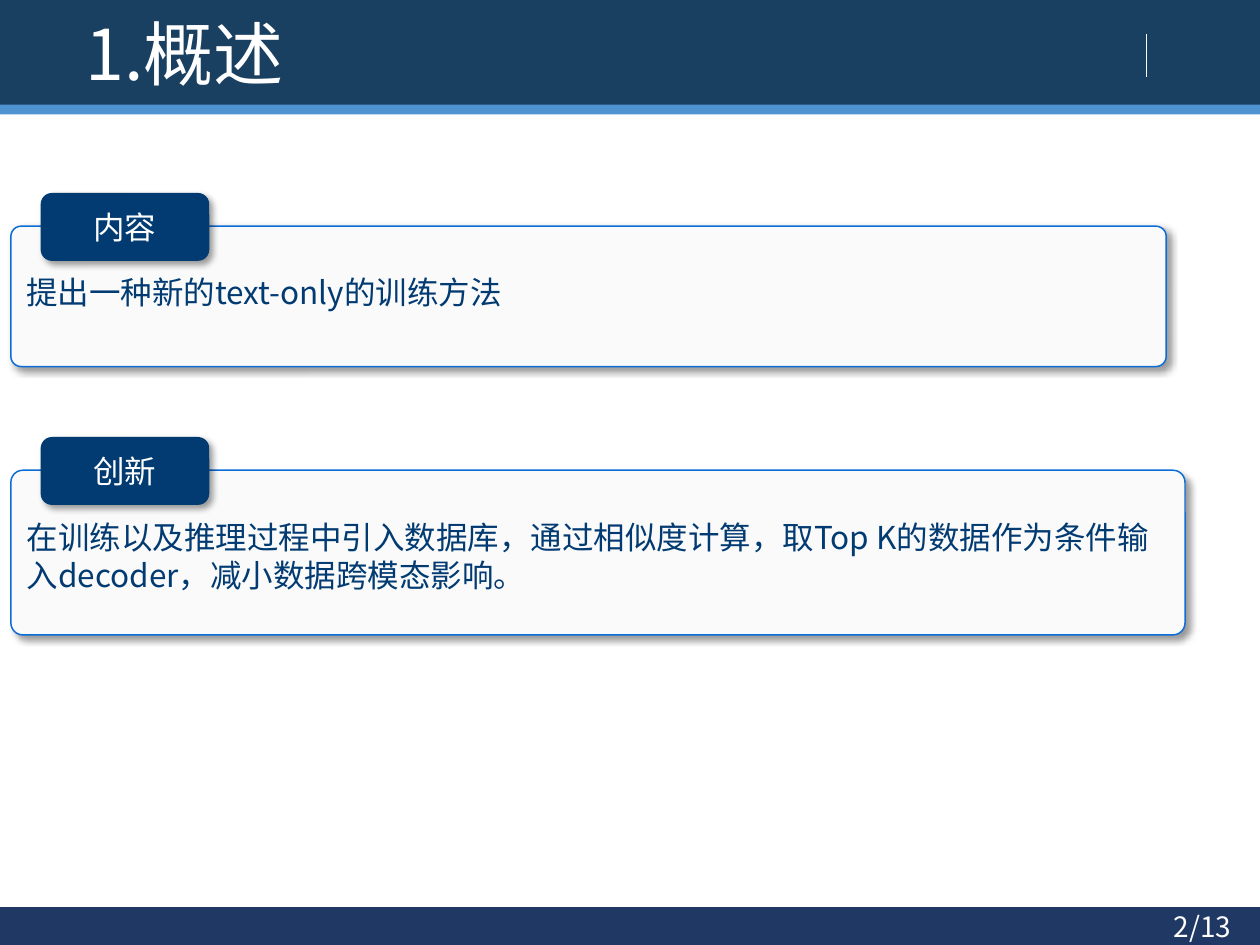
from lxml import etree
from pptx import Presentation
from pptx import util as u
from pptx.dml.color import RGBColor
from pptx.enum import shapes, text
from pptx.oxml import parse_xml
from pptx.oxml.ns import nsdecls, qn

FONT = "Noto Sans CJK SC"
WHITE, NAVY = "FFFFFF", "023B72"
WIDTH, HEIGHT = 25.4, 19.05
SHADOW = (
    f'<a:effectLst {nsdecls("a")}><a:outerShdw blurRad="50800" dist="38100" '
    'dir="2700000" algn="tl" rotWithShape="0"><a:srgbClr val="000000">'
    '<a:alpha val="40000"/></a:srgbClr></a:outerShdw></a:effectLst>'
)


def color(value):
    """Turn a hex string into a colour."""
    return RGBColor.from_string(value)


def write(shape, words, size, tone, align=text.PP_ALIGN.LEFT, **frame_format):
    """Write one paragraph into a shape."""
    frame = shape.text_frame
    values = {"word_wrap": True, "vertical_anchor": text.MSO_ANCHOR.MIDDLE}
    for name, value in {**values, **frame_format}.items():
        setattr(frame, name, value)
    para = frame.paragraphs[0]
    para.alignment = align
    span = para.add_run()
    span.text = words
    for name, value in {"name": FONT, "size": u.Pt(size)}.items():
        setattr(span.font, name, value)
    span.font.color.rgb = color(tone)
    east_asian = etree.SubElement(span.font._element, qn("a:ea"))
    east_asian.set("typeface", FONT)


def add_box(page, kind, box, fill, line=None):
    """Add a filled shape, outlined when a line colour is given."""
    shape = page.shapes.add_shape(kind, *map(u.Cm, box))
    shape.shadow.inherit = False
    shape.fill.solid()
    shape.fill.fore_color.rgb = color(fill)
    if line:
        shape.line.color.rgb = color(line)
        shape.line.width = u.Pt(0.85)
    else:
        shape.line.fill.background()
    return shape


def add_raised(page, box, fill, line=None):
    """Add a rounded box with a soft shadow."""
    shape = add_box(page, shapes.MSO_SHAPE.ROUNDED_RECTANGLE, box, fill, line)
    properties = shape._element.spPr
    properties.replace(properties.find(qn("a:effectLst")), parse_xml(SHADOW))
    return shape


def add_header(page, left, top, width, height, title):
    """Draw the title band, its stripe and its divider."""
    band = shapes.MSO_SHAPE.RECTANGLE
    add_box(page, band, (left, top, width, height), "193F61")
    add_box(page, band, (left, top + height - 0.02, width, 0.2), "4F93D1")
    x = u.Cm(left + 23.11)
    divider = page.shapes.add_connector(
        shapes.MSO_CONNECTOR.STRAIGHT, x, u.Cm(top + 0.69), x, u.Cm(top + 1.55))
    divider.line.color.rgb = color(WHITE)
    divider.line.width = u.Pt(0.5)
    etree.SubElement(divider._element.spPr, qn("a:effectLst"))
    heading = page.shapes.add_textbox(
        *map(u.Cm, (left + 1.47, top + 0.25, 16.97, 1.6)))
    write(heading, title, 40, WHITE)


def add_footer(page, left, top, width, height, number):
    """Draw the bottom band with the page number."""
    add_box(page, shapes.MSO_SHAPE.RECTANGLE, (left, top, width, height), "203864")
    label = page.shapes.add_textbox(
        *map(u.Cm, (left + width - 6.05, top - 0.13, 5.72, 1.02)))
    write(label, number, 16, WHITE, text.PP_ALIGN.RIGHT)


def add_section(page, left, top, width, height, name, body):
    """Draw a panel with a name tab over its top edge."""
    panel = add_raised(page, (left, top, width, height), "FAFAFA", "0C6DD7")
    panel.adjustments[0] = 0.073
    write(panel, body, 18, NAVY, margin_top=u.Cm(0.89),
          vertical_anchor=text.MSO_ANCHOR.TOP)
    tab = add_raised(page, (left + 0.6, top - 0.67, 3.4, 1.37), NAVY)
    write(tab, name, 18, WHITE, text.PP_ALIGN.CENTER)


def main():
    """Build and save the deck."""
    deck = Presentation()
    deck.slide_width, deck.slide_height = u.Cm(WIDTH), u.Cm(HEIGHT)
    page = deck.slides.add_slide(deck.slide_layouts[6])
    add_header(page, 0, 0, WIDTH, 2.13, "1.概述")
    add_footer(page, 0, 18.29, WIDTH, 0.76, "2/13")
    add_section(page, 0.22, 4.56, 23.29, 2.83, "内容",
                "提出一种新的text-only的训练方法")
    add_section(page, 0.22, 9.48, 23.67, 3.32, "创新",
                "在训练以及推理过程中引入数据库，通过相似度计算，取Top K的数据"
                "作为条件输入decoder，减小数据跨模态影响。")
    deck.save("out.pptx")


if __name__ == "__main__":
    main()
